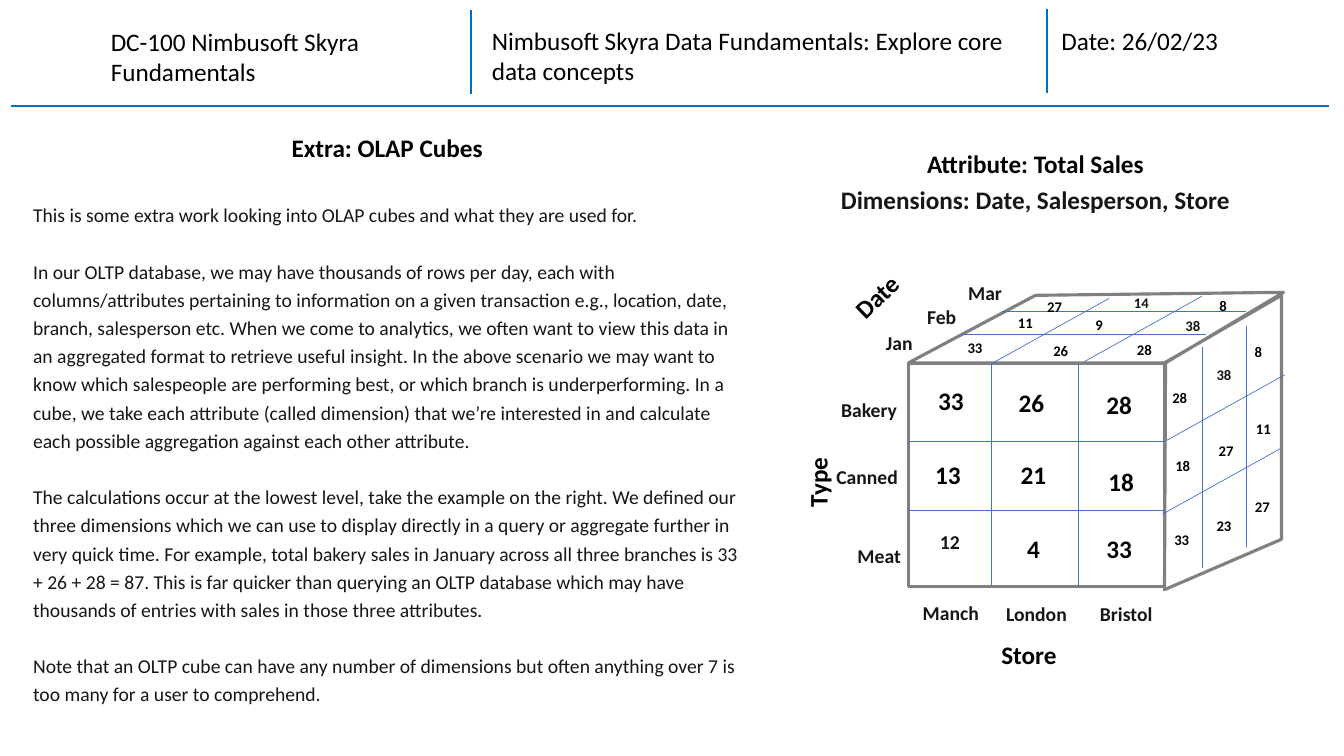
from dataclasses import dataclass
from typing import Optional

from lxml.etree import SubElement
from pptx import Presentation
from pptx.dml.color import RGBColor
from pptx.enum.shapes import MSO_CONNECTOR, MSO_SHAPE
from pptx.enum.text import MSO_AUTO_SIZE, PP_ALIGN
from pptx.oxml.ns import qn
from pptx.shapes.autoshape import Shape
from pptx.shapes.group import GroupShape
from pptx.shapes.shapetree import SlideShapes
from pptx.util import Emu, Pt

PX = 9144
FONT = "Calibri"
BLACK = RGBColor(0x00, 0x00, 0x00)
INK = RGBColor(0x16, 0x16, 0x16)
HEADER_BLUE = RGBColor(0x00, 0x72, 0xC6)
GRID_BLUE = RGBColor(0x44, 0x72, 0xC4)
EDGE_GREY = RGBColor(0x80, 0x80, 0x80)


@dataclass(frozen=True)
class Style:
    size: float
    color: RGBColor = BLACK
    bold: bool = True
    align: Optional[PP_ALIGN] = PP_ALIGN.CENTER
    spacing: Optional[float] = 1.2


@dataclass(frozen=True)
class Passage:
    text: str
    style: Style
    before: int = 0


@dataclass(frozen=True)
class Box:
    left: int
    top: int
    width: int
    height: int
    passages: tuple[Passage, ...]
    angle: int = 0
    inset: int = 0


@dataclass(frozen=True)
class Rule:
    start: tuple[int, int]
    reach: tuple[int, int]


@dataclass(frozen=True)
class LabelSet:
    width: int
    height: int
    style: Style
    places: tuple[tuple[str, int, int], ...]


HEADER = Style(18, bold=False, align=None, spacing=None)
HEADING = Style(18)
SUBHEADING = Style(18, INK)
BODY = Style(14, INK, bold=False, align=None)
MEMBER = Style(14, INK)
SIDE_VALUE = Style(10.5)
SIDE_VALUE_INK = Style(10.5, INK)

COURSE = Box(100, 21, 381, 71, (Passage("DC-100 Nimbusoft Skyra Fundamentals", HEADER),), inset=10)
HEADER_BOXES = (
    Box(478, 20, 546, 71, (Passage(
        "Nimbusoft Skyra Data Fundamentals: Explore core data concepts", HEADER),), inset=10),
    Box(1043, 20, 236, 40, (Passage("Date: 26/02/23", HEADER),), inset=10),
)
HEADER_RULES = (
    Rule((11, 105), (1307, 0)),
    Rule((467, 10), (0, 83)),
    Rule((1038, 9), (0, 83)),
)

ARTICLE = Box(23, 120, 722, 590, (
    Passage("Extra: OLAP Cubes", HEADING),
    Passage("This is some extra work looking into OLAP cubes and what they are used for.", BODY, 26),
    Passage(
        "In our OLTP database, we may have thousands of rows per day, each with "
        "columns/attributes pertaining to information on a given transaction e.g., location, "
        "date, branch, salesperson etc. When we come to analytics, we often want to view this "
        "data in an aggregated format to retrieve useful insight. In the above scenario we may "
        "want to know which salespeople are performing best, or which branch is "
        "underperforming. In a cube, we take each attribute (called dimension) that we’re "
        "interested in and calculate each possible aggregation against each other attribute.",
        BODY, 20),
    Passage(
        "The calculations occur at the lowest level, take the example on the right. We defined "
        "our three dimensions which we can use to display directly in a query or aggregate "
        "further in very quick time. For example, total bakery sales in January across all "
        "three branches is 33 + 26 + 28 = 87. This is far quicker than querying an OLTP "
        "database which may have thousands of entries with sales in those three attributes.",
        BODY, 20),
    Passage(
        "Note that an OLTP cube can have any number of dimensions but often anything over 7 is "
        "too many for a user to comprehend.", BODY, 20),
), inset=10)

CUBE_FRONT = (901, 361, 254, 221)
CUBE_SIDES = ((901, 360), (1027, 293), (1273, 290), (1156, 360), (1155, 585),
              (1271, 535), (1271, 293), (1155, 360))
DEPTH = (117, -65)
CUBE_GRID = (
    *(Rule((901, y), (254, 0)) for y in (438, 506)),
    *(Rule((x, 361), (0, 220)) for x in (983, 1070)),
    *(Rule(start, (242, 0)) for start in ((954, 332), (994, 309))),
    *(Rule(start, DEPTH) for start in ((983, 361), (1075, 359), (1157, 437), (1153, 510))),
    *(Rule(start, (0, 220)) for start in ((1193, 344), (1236, 323))),
)
CUBE_BOXES = (
    Box(743, 428, 185, 101, (Passage("Type", HEADING),), angle=270),
    Box(774, 269, 185, 44, (Passage("Date", HEADING),), angle=316),
    Box(928, 623, 185, 44, (Passage("Store", HEADING),)),
    Box(666, 136, 722, 117, (
        Passage("Attribute: Total Sales", HEADING),
        Passage("Dimensions: Date, Salesperson, Store", SUBHEADING),
    )),
)
CUBE_LABELS = (
    LabelSet(62, 44, HEADING, (
        ("33", 912, 371), ("26", 992, 373), ("28", 1079, 375),
        ("13", 909, 445), ("21", 994, 445), ("18", 1081, 452),
        ("4", 994, 518), ("33", 1079, 518),
    )),
    LabelSet(62, 36, MEMBER, (("12", 911, 516),)),
    LabelSet(92, 65, MEMBER, (
        ("Bakery", 816, 385), ("Canned", 814, 452), ("Meat", 826, 530),
        ("Jan", 846, 319), ("Feb", 888, 293), ("Mar", 931, 269),
        ("Manch", 897, 587), ("London", 982, 588), ("Bristol", 1071, 588),
    )),
    LabelSet(62, 31, SIDE_VALUE, (
        ("33", 936, 328), ("26", 1021, 331), ("28", 1104, 330),
        ("11", 986, 303), ("9", 1059, 305), ("27", 1015, 287), ("8", 1182, 286),
        ("28", 1139, 377), ("8", 1217, 332),
        ("18", 1142, 445), ("27", 1185, 430), ("11", 1222, 408),
        ("33", 1141, 518), ("23", 1183, 504), ("27", 1221, 485),
    )),
    LabelSet(62, 30, SIDE_VALUE_INK, (("38", 1183, 355), ("38", 1152, 306), ("14", 1101, 283))),
)


def px(length: int) -> Emu:
    return Emu(length * PX)


def draw_box(parent: SlideShapes, box: Box) -> None:
    shape = parent.add_textbox(px(box.left), px(box.top), px(box.width), px(box.height))
    shape.rotation = box.angle
    frame = shape.text_frame
    frame.word_wrap = True
    frame.auto_size = MSO_AUTO_SIZE.NONE if box.angle else MSO_AUTO_SIZE.SHAPE_TO_FIT_TEXT
    frame.margin_left = frame.margin_right = px(box.inset)
    for index, passage in enumerate(box.passages):
        paragraph = frame.add_paragraph() if index else frame.paragraphs[0]
        paragraph.alignment = passage.style.align
        paragraph.line_spacing = passage.style.spacing
        paragraph.space_before = Pt(passage.before)
        run = paragraph.add_run()
        run.text = passage.text
        run.font.name = FONT
        run.font.size = Pt(passage.style.size)
        run.font.bold = passage.style.bold
        run.font.color.rgb = passage.style.color


def draw_rule(parent: SlideShapes, rule: Rule, color: RGBColor, weight: float) -> None:
    (x, y), (dx, dy) = rule.start, rule.reach
    line = parent.add_connector(MSO_CONNECTOR.STRAIGHT, px(x), px(y), px(x + dx), px(y + dy))
    line.line.color.rgb = color
    line.line.width = Pt(weight)
    SubElement(line._element.spPr, qn("a:effectLst"))


def outline(face: Shape) -> None:
    face.shadow.inherit = False
    face.fill.background()
    face.line.color.rgb = EDGE_GREY
    face.line.width = Pt(2.25)


def draw_cube(cube: GroupShape) -> None:
    outline(cube.shapes.add_shape(MSO_SHAPE.RECTANGLE, *map(px, CUBE_FRONT)))
    sides = cube.shapes.build_freeform(*CUBE_SIDES[0], scale=PX)
    sides.add_line_segments(CUBE_SIDES[1:], close=True)
    outline(sides.convert_to_shape())
    for rule in CUBE_GRID:
        draw_rule(cube.shapes, rule, GRID_BLUE, 0.5)
    for box in CUBE_BOXES:
        draw_box(cube.shapes, box)
    for labels in CUBE_LABELS:
        for text, left, top in labels.places:
            passage = Passage(text, labels.style)
            draw_box(cube.shapes, Box(left, top, labels.width, labels.height, (passage,)))


def main() -> None:
    deck = Presentation()
    deck.slide_width, deck.slide_height = px(1333), px(750)
    slide = deck.slides.add_slide(deck.slide_layouts[6])
    header = slide.shapes.add_group_shape()
    for rule in HEADER_RULES:
        draw_rule(header.shapes, rule, HEADER_BLUE, 1.5)
    for box in HEADER_BOXES:
        draw_box(header.shapes, box)
    draw_box(slide.shapes, COURSE)
    draw_box(slide.shapes, ARTICLE)
    draw_cube(slide.shapes.add_group_shape())
    deck.save("out.pptx")


if __name__ == "__main__":
    main()
